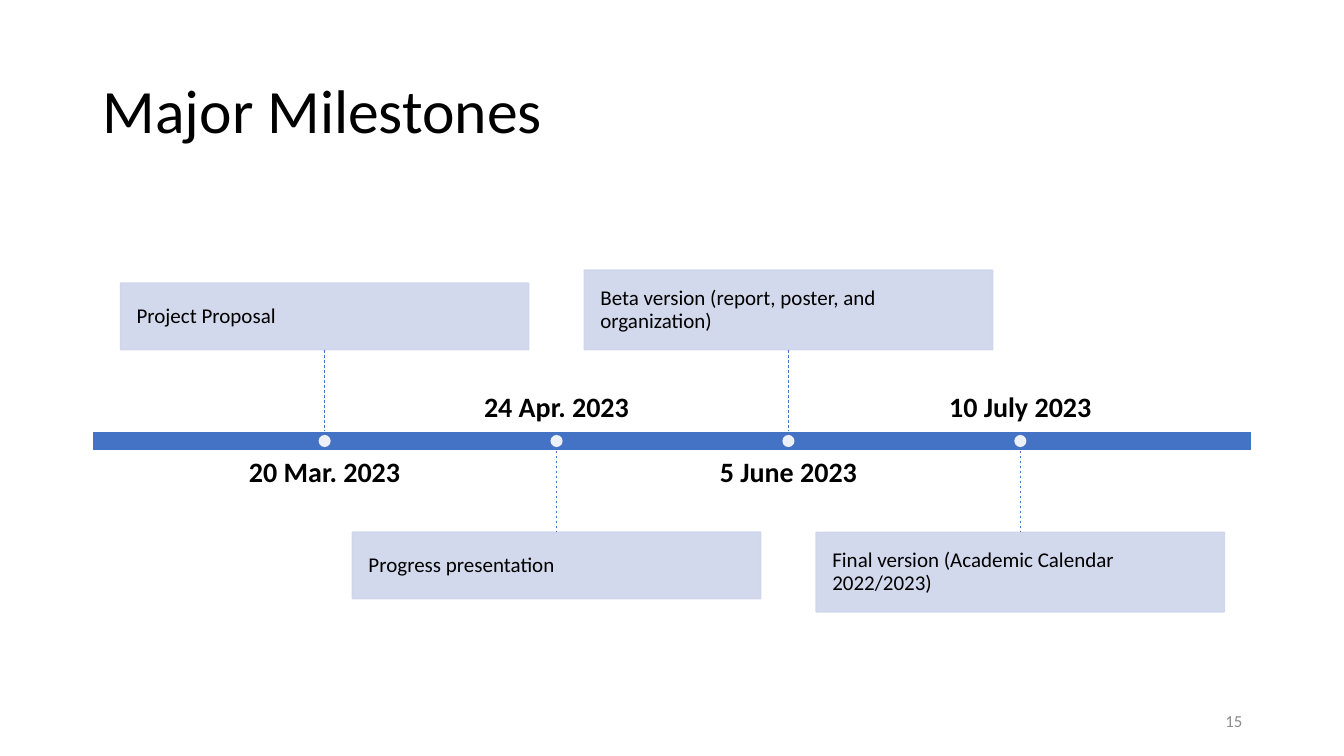
from pptx import Presentation
from pptx.dml.color import RGBColor
from pptx.enum.dml import MSO_LINE
from pptx.enum.shapes import MSO_CONNECTOR, MSO_SHAPE
from pptx.enum.text import MSO_ANCHOR as Anchor, PP_ALIGN as Align
from pptx.oxml.ns import qn
from pptx.util import Inches, Pt
from lxml.etree import SubElement as Sub

TITLE = "Major Milestones"
PAGE = "15"
STONES = [
    ("20 Mar. 2023", "Project Proposal", 0.66),
    ("24 Apr. 2023", "Progress presentation", 0.66),
    ("5 June 2023", "Beta version (report, poster, and organization)", 0.79),
    ("10 July 2023", "Final version (Academic Calendar 2022/2023)", 0.79),
]
THEME = {
    "font": "Calibri", "ink": "000000", "gray": "8C8C8C", "bar": "4472C4",
    "card": "CFD5EA", "white": "FFFFFF",
    "title": 44, "date": 20, "note": 15, "page": 12,
}

LEFT, WIDE = 0.92, 11.5
TOP, THICK = 4.28, 0.19
FIRST, STEP = 3.22, 2.3
STEM, DOT = 0.81, 0.12
CARD_W = 4.05
DATE_W, DATE_H, GAP = 3.68, 0.54, 0.08

deck = Presentation()
deck.slide_width, deck.slide_height = Inches(13.33), Inches(7.5)
slide = deck.slides.add_slide(deck.slide_layouts[6])
shapes = slide.shapes


def tone(name):
    return RGBColor.from_string(THEME[name])


def fade(props):
    for color in props.iter(qn("a:srgbClr")):
        Sub(color, qn("a:alpha"), val="90000")


def write(shape, text, size, ink="ink", bold=False, align=Align.LEFT,
          anchor=Anchor.MIDDLE, pad=None, space=0.9):
    frame = shape.text_frame
    frame.word_wrap = True
    frame.vertical_anchor = anchor
    if pad is not None:
        frame.margin_left = frame.margin_right = Inches(pad)
        frame.margin_top = frame.margin_bottom = Inches(pad)
    para = frame.paragraphs[0]
    para.text = text
    para.alignment = align
    para.line_spacing = space
    font = para.font
    font.name, font.size, font.bold = THEME["font"], Pt(THEME[size]), bold
    font.color.rgb = tone(ink)


def label(box, text, size, **style):
    write(shapes.add_textbox(*map(Inches, box)), text, size, **style)


def block(kind, box, fill, edge=None, clear=False):
    shape = shapes.add_shape(kind, *map(Inches, box))
    shape.shadow.inherit = False
    shape.fill.solid()
    shape.fill.fore_color.rgb = tone(fill)
    if edge:
        shape.line.color.rgb = tone(edge)
        shape.line.width = Pt(1)
    else:
        shape.line.fill.background()
    if clear:
        fade(shape.element.spPr)
    return shape


def stem(x, start, end):
    line = shapes.add_connector(
        MSO_CONNECTOR.STRAIGHT, *map(Inches, (x, start, x, end)))
    line.line.color.rgb = tone("bar")
    line.line.width = Pt(0.5)
    line.line.dash_style = MSO_LINE.DASH
    Sub(line.element.spPr, qn("a:effectLst"))


label((LEFT, 0.4, WIDE, 1.45), TITLE, "title")
block(MSO_SHAPE.RECTANGLE, (LEFT, TOP, WIDE, THICK), "bar", "white")

for i, (date, note, high) in enumerate(STONES):
    x = FIRST + i * STEP
    base = TOP + THICK
    if i % 2 == 0:
        start, end = TOP - STEM, TOP
        card_y, date_y = start - high, base + GAP
        anchor = Anchor.TOP
    else:
        start, end = base, base + STEM
        card_y, date_y = end, TOP - GAP - DATE_H
        anchor = Anchor.BOTTOM
    label((x - DATE_W / 2, date_y, DATE_W, DATE_H), date, "date",
          bold=True, align=Align.CENTER, anchor=anchor, pad=0)
    card = block(MSO_SHAPE.RECTANGLE, (x - CARD_W / 2, card_y, CARD_W, high),
                 "card", "card", True)
    write(card, note, "note", pad=0.16)
    stem(x, start, end)
    block(MSO_SHAPE.OVAL,
          (x - DOT / 2, TOP + (THICK - DOT) / 2, DOT, DOT), "white", clear=True)

label((9.42, 6.95, 3, 0.4), PAGE, "page", ink="gray", align=Align.RIGHT, space=1.0)

deck.save("out.pptx")
